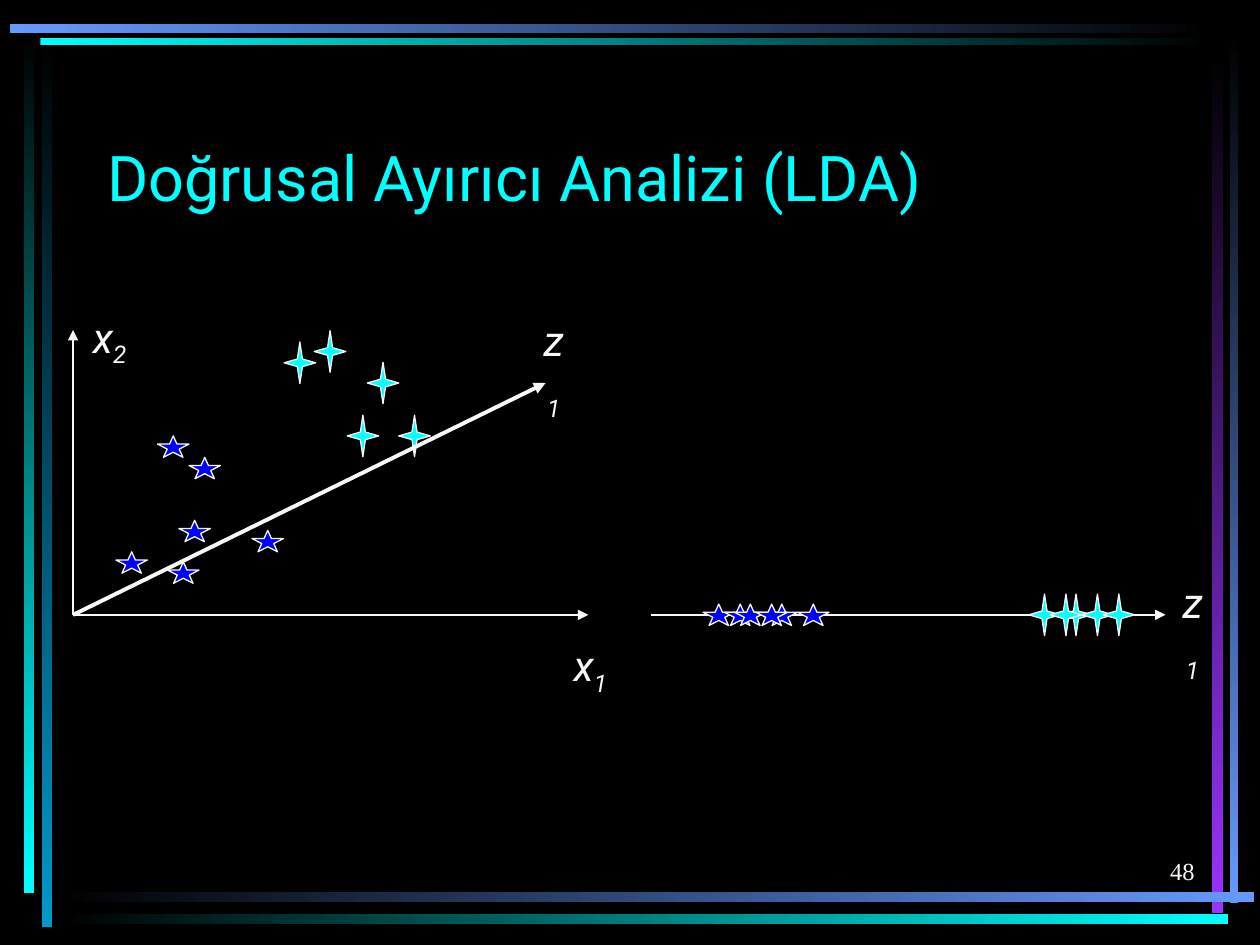
from lxml import etree
from pptx import Presentation
from pptx.dml.color import RGBColor
from pptx.enum import shapes, text
from pptx.oxml import ns
from pptx.util import Inches, Pt

BLACK = RGBColor(0x00, 0x00, 0x00)
WHITE = RGBColor(0xF8, 0xF8, 0xF8)
CYAN = RGBColor(0x00, 0xFF, 0xFF)
BLUE = RGBColor(0x00, 0x00, 0xFF)
TEAL = RGBColor(0x00, 0x99, 0xCC)
PERIWINKLE = RGBColor(0x66, 0x99, 0xFF)
PURPLE = RGBColor(0x99, 0x33, 0xFF)

DOWN, RIGHT = 270, 0
STAR_WIDTH, STAR_HEIGHT = 0.25, 0.17
SPARK_WIDTH, SPARK_HEIGHT = 0.25, 0.33
ORIGIN = (0.58, 4.88)
PROJECTION_Y = 4.88

FRAME_BARS = [
    (0.33, 0.28, 0.08, 7.08, BLACK, TEAL, DOWN),
    (0.19, 0.25, 0.08, 6.84, BLACK, CYAN, DOWN),
    (9.76, 0.24, 0.07, 6.93, BLACK, PERIWINKLE, DOWN),
    (9.62, 0.42, 0.09, 6.83, BLACK, PURPLE, DOWN),
    (0.45, 7.08, 9.5, 0.08, BLACK, PERIWINKLE, RIGHT),
    (0.45, 7.25, 9.3, 0.08, BLACK, CYAN, RIGHT),
    (0.32, 0.3, 9.32, 0.06, CYAN, BLACK, RIGHT),
    (0.08, 0.19, 9.56, 0.07, PERIWINKLE, BLACK, RIGHT),
]
CLASS_STARS = [(1.5, 3.63), (0.92, 4.38), (1.42, 4.13), (1.33, 4.46), (2, 4.21), (1.25, 3.46)]
CLASS_SPARKS = [(3.04, 3.04), (2.38, 2.88), (3.29, 3.46), (2.88, 3.46), (2.62, 2.79)]
PROJECTED_STARS = [5.58, 5.75, 5.83, 6.08, 6, 6.33]
PROJECTED_SPARKS = [8.29, 8.54, 8.46, 8.71, 8.88]
AXIS_LABELS = [
    ("x", "1", 4.43, 5.03, 0.51),
    ("z", "1", 4.17, 2.45, 0.45),
    ("x", "2", 0.58, 2.42, 0.58),
    ("z", "1", 9.24, 4.53, 0.45),
]


def set_all(target, values):
    for name, value in values.items():
        setattr(target, name, value)


class SlideBuilder:
    title_font = {"name": "Roboto", "size": Pt(36)}
    label_font = {"name": "Roboto", "size": Pt(24), "italic": True}
    number_font = {"name": "Times New Roman", "size": Pt(14)}

    def __init__(self, slide):
        self.slide = slide
        background = slide.background.fill
        background.solid()
        background.fore_color.rgb = BLACK

    def style_run(self, run, font, color):
        set_all(run.font, font)
        run.font.color.rgb = color

    def style_marker(self, marker, color):
        marker.shadow.inherit = False
        marker.fill.solid()
        marker.fill.fore_color.rgb = color
        marker.line.color.rgb = WHITE
        marker.line.width = Pt(0.75)

    def bar(self, left, top, width, height, start, end, angle):
        bar = self.slide.shapes.add_shape(
            shapes.MSO_SHAPE.RECTANGLE, Inches(left), Inches(top), Inches(width), Inches(height))
        bar.shadow.inherit = False
        bar.line.fill.background()
        bar.fill.gradient()
        bar.fill.gradient_angle = angle
        for stop, color in zip(bar.fill.gradient_stops, (start, end)):
            stop.color.rgb = color

    def title(self, words):
        title = self.slide.shapes.title
        set_all(title, {"left": Inches(0.75), "top": Inches(0.67),
                        "width": Inches(8.5), "height": Inches(1.08)})
        set_all(title.text_frame, {"vertical_anchor": text.MSO_ANCHOR.BOTTOM, "word_wrap": True,
                                   "auto_size": text.MSO_AUTO_SIZE.NONE})
        paragraph = title.text_frame.paragraphs[0]
        paragraph.alignment = text.PP_ALIGN.LEFT
        run = paragraph.add_run()
        run.text = words
        self.style_run(run, self.title_font, CYAN)

    def arrow(self, start, end, weight=0.75):
        arrow = self.slide.shapes.add_connector(
            shapes.MSO_CONNECTOR.STRAIGHT, *(Inches(value) for value in (*start, *end)))
        arrow.line.color.rgb = WHITE
        arrow.line.width = Pt(weight)
        etree.SubElement(arrow.line._get_or_add_ln(), ns.qn("a:tailEnd"), type="triangle")
        etree.SubElement(arrow._element.spPr, ns.qn("a:effectLst"))

    def star(self, left, top):
        star = self.slide.shapes.add_shape(
            shapes.MSO_SHAPE.STAR_5_POINT, Inches(left), Inches(top),
            Inches(STAR_WIDTH), Inches(STAR_HEIGHT))
        self.style_marker(star, BLUE)

    def spark(self, center_x, center_y):
        half_width, half_height = SPARK_WIDTH / 2, SPARK_HEIGHT / 2
        inner_x, inner_y = 0.02, 0.03
        offsets = [(-half_width, 0), (-inner_x, -inner_y), (0, -half_height), (inner_x, -inner_y),
                   (half_width, 0), (inner_x, inner_y), (0, half_height), (-inner_x, inner_y)]
        points = [(Inches(center_x + x), Inches(center_y + y)) for x, y in offsets]
        outline = self.slide.shapes.build_freeform(*points[0])
        outline.add_line_segments(points[1:], close=True)
        self.style_marker(outline.convert_to_shape(), CYAN)

    def text_box(self, left, top, width, height, alignment, anchor):
        box = self.slide.shapes.add_textbox(
            Inches(left), Inches(top), Inches(width), Inches(height))
        set_all(box.text_frame, {"word_wrap": True, "vertical_anchor": anchor})
        paragraph = box.text_frame.paragraphs[0]
        paragraph.alignment = alignment
        return paragraph

    def axis_label(self, letter, index, left, top, width):
        paragraph = self.text_box(left, top, width, 0.56,
                                  text.PP_ALIGN.CENTER, text.MSO_ANCHOR.TOP)
        for part in (letter, index):
            run = paragraph.add_run()
            run.text = part
            self.style_run(run, self.label_font, WHITE)
        run._r.get_or_add_rPr().set("baseline", "-25000")

    def page_number(self, number):
        paragraph = self.text_box(7.5, 6.58, 2.08, 0.5,
                                  text.PP_ALIGN.RIGHT, text.MSO_ANCHOR.BOTTOM)
        run = paragraph.add_run()
        run.text = number
        self.style_run(run, self.number_font, WHITE)


def main():
    deck = Presentation()
    deck.slide_width, deck.slide_height = Inches(10), Inches(7.5)
    builder = SlideBuilder(deck.slides.add_slide(deck.slide_layouts[5]))

    for bar in FRAME_BARS:
        builder.bar(*bar)
    builder.title("Doğrusal Ayırıcı Analizi (LDA)")

    builder.arrow(ORIGIN, (4.67, 4.88))
    builder.arrow(ORIGIN, (0.58, 2.62))
    for left, top in CLASS_STARS:
        builder.star(left, top)
    for center in CLASS_SPARKS:
        builder.spark(*center)
    builder.arrow(ORIGIN, (4.33, 3.04), 2.25)

    builder.arrow((5.17, PROJECTION_Y), (9.25, PROJECTION_Y))
    for left in PROJECTED_STARS:
        builder.star(left, PROJECTION_Y - STAR_HEIGHT / 2)
    for center_x in PROJECTED_SPARKS:
        builder.spark(center_x, PROJECTION_Y)

    for label in AXIS_LABELS:
        builder.axis_label(*label)
    builder.page_number("48")
    deck.save("out.pptx")


if __name__ == "__main__":
    main()
